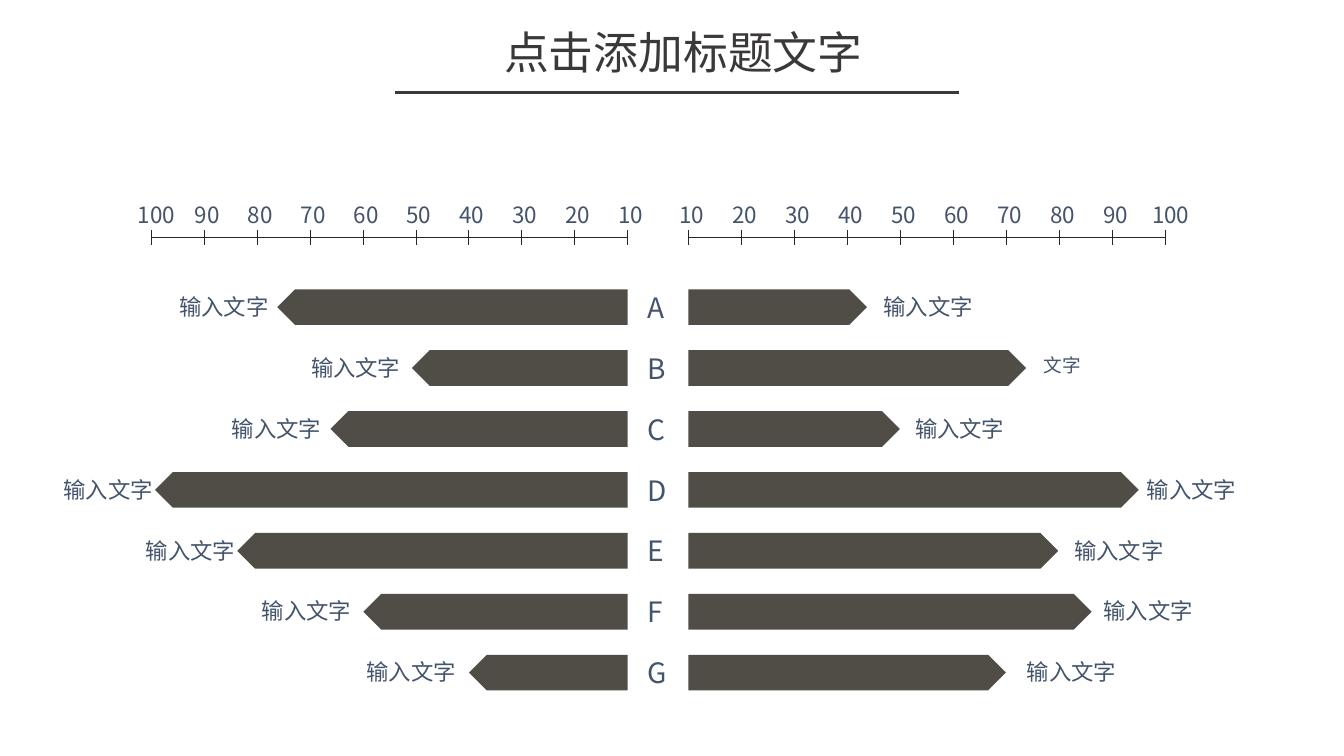
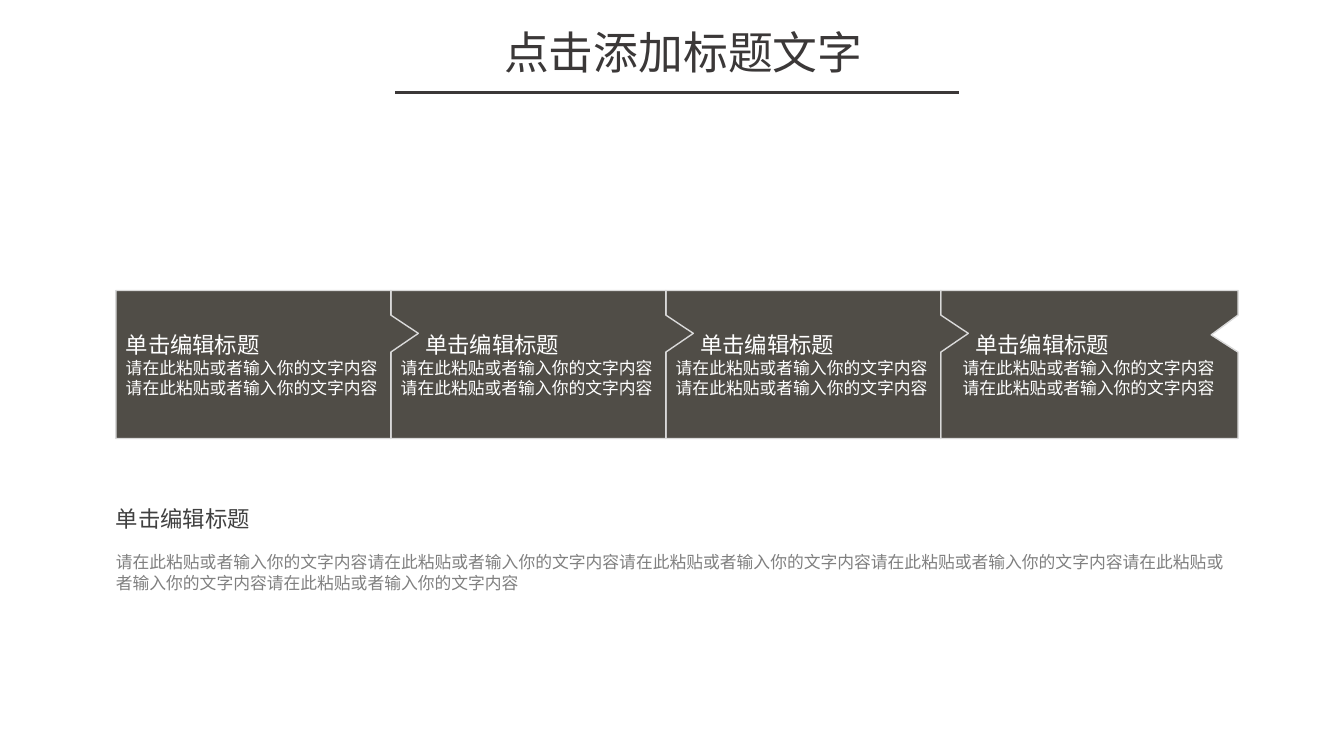
import pptx
import pptx.util
import pptx.dml.color
import pptx.enum.shapes
import pptx.enum.text
import pptx.oxml.ns
import lxml.etree

Cm = pptx.util.Cm
Pt = pptx.util.Pt
ALIGN = pptx.enum.text.PP_ALIGN
ANCHOR = pptx.enum.text.MSO_ANCHOR
SHAPE = pptx.enum.shapes.MSO_SHAPE
qn = pptx.oxml.ns.qn

FONT = "Noto Sans CJK SC"
COLORS = {
    "title": "3B3838",
    "axis": "262626",
    "label": "44546A",
    "block": "504D47",
    "border": "D9D9D9",
    "white": "FFFFFF",
    "heading": "404040",
    "body": "808080",
}
TITLE = "点击添加标题文字"
LABEL = "输入文字"
HEADING = "单击编辑标题"
SENTENCE = "请在此粘贴或者输入你的文字内容"


class Deck:
    """Hold the shared style and the current slide, and draw its elements."""

    def __init__(self):
        self.presentation = pptx.Presentation()
        self.presentation.slide_width = Cm(33.87)
        self.presentation.slide_height = Cm(19.05)
        self.slide = None

    def color(self, name):
        return pptx.dml.color.RGBColor.from_string(COLORS[name])

    def format(self, paragraph, size, color, align=ALIGN.LEFT, indent=0, before=0):
        paragraph.alignment = align
        paragraph.space_before = Pt(before)
        paragraph.font.size = Pt(size)
        paragraph.font.name = FONT
        paragraph.font.color.rgb = self.color(color)
        properties = paragraph._p.get_or_add_pPr()
        properties.set("marL", str(Cm(indent)))
        east_asian = lxml.etree.SubElement(properties.find(qn("a:defRPr")), qn("a:ea"))
        east_asian.set("typeface", FONT)

    def add_slide(self, title):
        self.slide = self.presentation.slides.add_slide(self.presentation.slide_layouts[5])
        shape = self.slide.shapes.title
        shape.left, shape.top, shape.width, shape.height = Cm(9.53), Cm(0.61), Cm(15.39), Cm(1.63)
        frame = shape.text_frame
        frame.text = title
        frame.word_wrap = True
        frame.auto_size = pptx.enum.text.MSO_AUTO_SIZE.NONE
        frame.vertical_anchor = ANCHOR.TOP
        frame.margin_left = frame.margin_right = frame.margin_top = frame.margin_bottom = 0
        self.format(frame.paragraphs[0], 32, "title", ALIGN.CENTER)
        self.line(9.96, 2.34, 24.18, 2.34, "title", 2)

    def line(self, x1, y1, x2, y2, color, width):
        connector = self.slide.shapes.add_connector(
            pptx.enum.shapes.MSO_CONNECTOR.STRAIGHT, Cm(x1), Cm(y1), Cm(x2), Cm(y2))
        connector.line.color.rgb = self.color(color)
        connector.line.width = Pt(width)
        lxml.etree.SubElement(connector.element.spPr, qn("a:effectLst"))

    def text(self, x, y, width, height, text, size, color, align=ALIGN.LEFT, before=0):
        box = self.slide.shapes.add_textbox(Cm(x), Cm(y), Cm(width), Cm(height))
        box.text_frame.word_wrap = True
        box.text_frame.text = text
        self.format(box.text_frame.paragraphs[0], size, color, align, before=before)

    def block(self, kind, x, y, width, height):
        shape = self.slide.shapes.add_shape(kind, Cm(x), Cm(y), Cm(width), Cm(height))
        shape.shadow.inherit = False
        shape.fill.solid()
        shape.fill.fore_color.rgb = self.color("block")
        shape.line.fill.background()
        return shape

    def bar(self, x, y, length, to_left):
        shape = self.block(SHAPE.PENTAGON, x - length if to_left else x, y, length, 0.9)
        if to_left:
            shape.element.spPr.xfrm.set("flipH", "1")

    def scale(self, inner, direction):
        step = 1.335
        self.line(inner, 5.98, inner + direction * 9 * step, 5.98, "axis", 0.5)
        for index in range(10):
            tick = inner + direction * index * step
            score = 10 * (index + 1)
            center = tick + (0.08 if score < 100 else 0.14)
            self.line(tick, 6.17, tick, 5.79, "axis", 0.5)
            self.text(center - 0.8, 4.95, 1.6, 0.94, str(score), 16, "label", ALIGN.CENTER)

    def callout(self, x, width, notch, heading_indent, body_indent):
        shape = self.block(SHAPE.RECTANGULAR_CALLOUT, x, 7.32, width, 3.73)
        shape.adjustments[0], shape.adjustments[1] = notch
        shape.line.color.rgb = self.color("border")
        shape.line.width = Pt(1)
        frame = shape.text_frame
        frame.word_wrap = True
        frame.vertical_anchor = ANCHOR.MIDDLE
        frame.text = "\n".join([HEADING, SENTENCE, SENTENCE])
        heading, *body = frame.paragraphs
        self.format(heading, 16, "white", indent=heading_indent, before=3.2)
        for paragraph in body:
            self.format(paragraph, 12, "white", indent=body_indent)


def build_comparison(deck):
    """Draw the two-sided bar comparison."""
    deck.add_slide(TITLE)
    left_edge, right_edge = 15.82, 17.35
    deck.scale(left_edge, -1)
    deck.scale(right_edge, 1)
    rows = [
        ("A", 8.83, 4.27, 4.5, 22.02),
        ("B", 5.44, 7.59, 8.51, 26.06),
        ("C", 7.49, 5.59, 5.33, 22.81),
        ("D", 11.91, 1.35, 11.35, 28.65),
        ("E", 9.84, 3.43, 9.32, 26.82),
        ("F", 6.66, 6.35, 10.16, 27.56),
        ("G", 4, 8.99, 8, 25.63),
    ]
    for index, (letter, left_length, left_label, right_length, right_label) in enumerate(rows):
        top = 7.29 + index * 1.535
        deck.bar(left_edge, top, left_length, True)
        deck.bar(right_edge, top, right_length, False)
        deck.text(left_label, top - 0.03, 3, 0.94, LABEL, 16, "label")
        short = letter == "B"
        deck.text(right_label, top - 0.03, 3, 0.94, "文字" if short else LABEL,
                  13.3 if short else 16, "label")
        deck.text(16.08, top - 0.1, 1.1, 1.12, letter, 20, "label")


def build_process(deck):
    """Draw the four interlocking steps and their description."""
    deck.add_slide(TITLE)
    left, step = 2.92, 6.93
    deck.callout(left + 3 * step, 7.49, (0.41, -0.2), 0.62, 0.3)
    for index in (2, 1, 0):
        deck.callout(left + index * step, step, (0.6, -0.21), 0.62 if index else 0, 0)
    deck.text(2.67, 13.79, 28.83, 2.31, SENTENCE * 6, 12, "body")
    deck.text(2.67, 12.6, 21.18, 0.94, HEADING, 16, "heading", before=3.2)


def main():
    """Build and save the presentation."""
    deck = Deck()
    build_comparison(deck)
    build_process(deck)
    deck.presentation.save("out.pptx")


if __name__ == "__main__":
    main()
